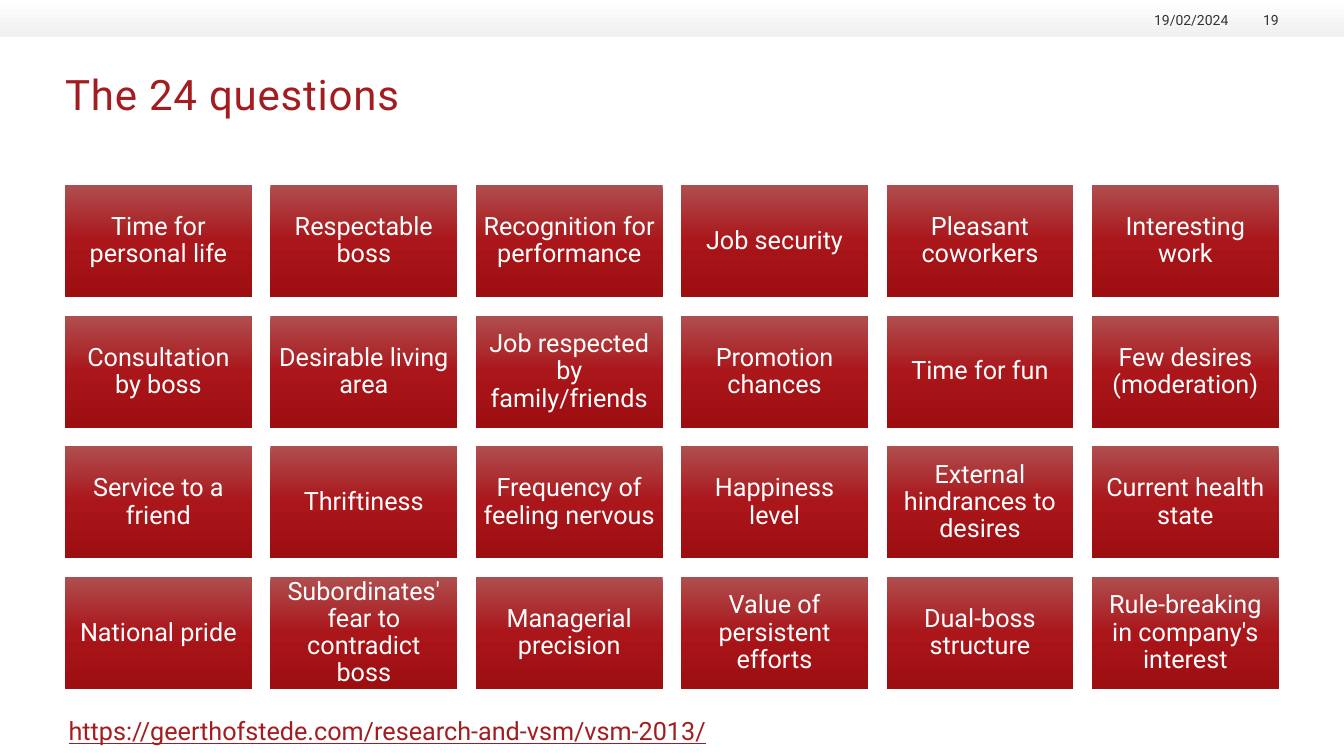
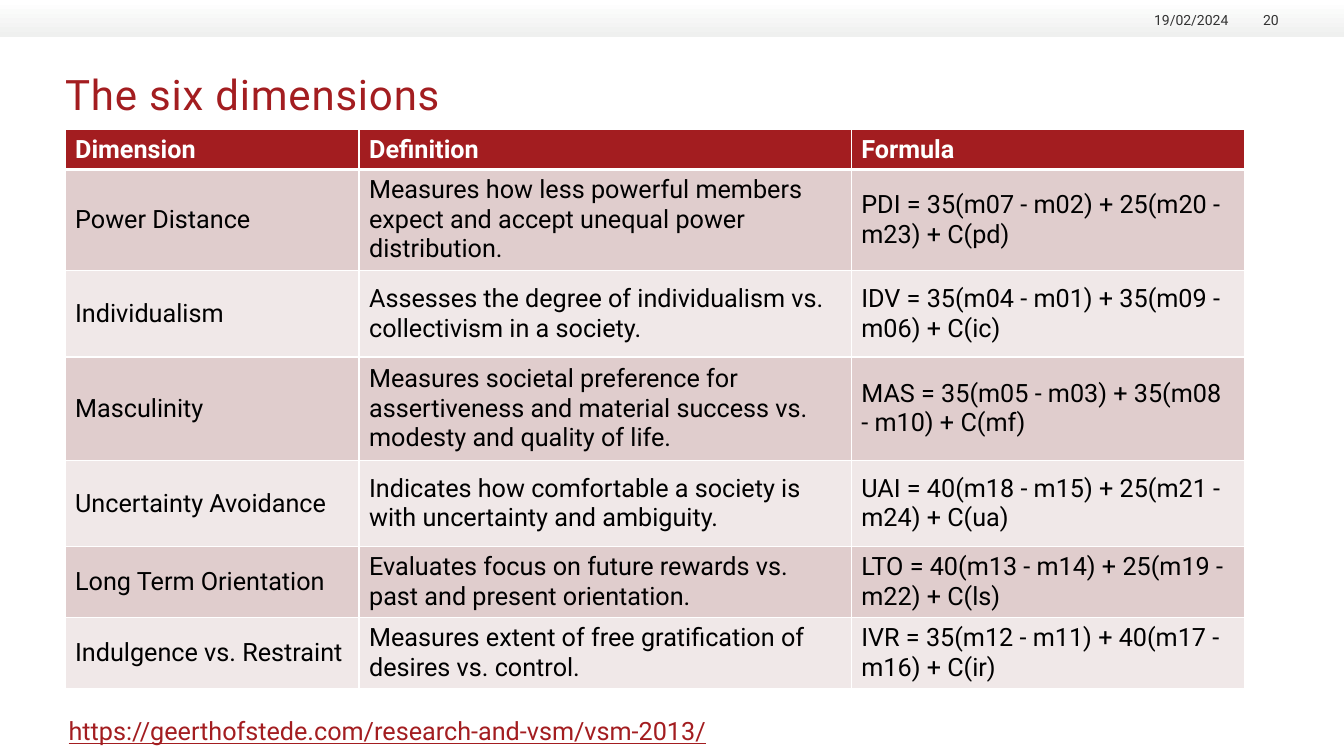
"""Build two slides on the survey questions and the six cultural dimensions."""
from lxml import etree
from pptx import Presentation
from pptx.dml.color import RGBColor
from pptx.enum import shapes, text
from pptx.oxml import ns
from pptx.util import Pt

FONT = "Roboto"
RED = RGBColor(0xA3, 0x1D, 0x20)
WHITE = RGBColor(0xFF, 0xFF, 0xFF)
BLACK = RGBColor(0x00, 0x00, 0x00)
GREY = RGBColor(0x33, 0x33, 0x33)
ROW_FILLS = [RGBColor(0xE0, 0xCD, 0xCD), RGBColor(0xF0, 0xE8, 0xE8)]
BAND_STOPS = [(0, WHITE), (100, RGBColor(0xEF, 0xF0, 0xEF))]
TILE_STOPS = [
    (0, RGBColor(0xAF, 0x4E, 0x4F)),
    (50, RGBColor(0xAA, 0x16, 0x1A)),
    (100, RGBColor(0x9D, 0x0E, 0x11)),
]

SLIDE_WIDTH, SLIDE_HEIGHT = 960, 540
LEFT = 46.5
DATE = "19/02/2024"
LINK = "https://geerthofstede.com/research-and-vsm/vsm-2013/"

TILE_COLUMNS = 6
TILE_TOP, TILE_WIDTH, TILE_HEIGHT, TILE_GAP = 132.2, 133.4, 80, 13.3
QUESTIONS = [
    "Time for personal life", "Respectable boss", "Recognition for performance",
    "Job security", "Pleasant coworkers", "Interesting work",
    "Consultation by boss", "Desirable living area", "Job respected by family/friends",
    "Promotion chances", "Time for fun", "Few desires (moderation)",
    "Service to a friend", "Thriftiness", "Frequency of feeling nervous",
    "Happiness level", "External hindrances to desires", "Current health state",
    "National pride", "Subordinates' fear to contradict boss", "Managerial precision",
    "Value of persistent efforts", "Dual-boss structure",
    "Rule-breaking in company's interest",
]

TABLE_TOP = 92.2
COLUMN_WIDTHS = [210, 351.6, 281]
ROW_HEIGHTS = [28, 70.5, 62, 73.6, 62, 50, 50]
DIMENSIONS = [
    ("Dimension", "Definition", "Formula"),
    ("Power Distance",
     "Measures how less powerful members expect and accept unequal power distribution.",
     "PDI = 35(m07 - m02) + 25(m20 - m23) + C(pd)"),
    ("Individualism",
     "Assesses the degree of individualism vs. collectivism in a society.",
     "IDV = 35(m04 - m01) + 35(m09 - m06) + C(ic)"),
    ("Masculinity",
     "Measures societal preference for assertiveness and material success vs. "
     "modesty and quality of life.",
     "MAS = 35(m05 - m03) + 35(m08 - m10) + C(mf)"),
    ("Uncertainty Avoidance",
     "Indicates how comfortable a society is with uncertainty and ambiguity.",
     "UAI = 40(m18 - m15) + 25(m21 - m24) + C(ua)"),
    ("Long Term Orientation",
     "Evaluates focus on future rewards vs. past and present orientation.",
     "LTO = 40(m13 - m14) + 25(m19 - m22) + C(ls)"),
    ("Indulgence vs. Restraint",
     "Measures extent of free gratification of desires vs. control.",
     "IVR = 35(m12 - m11) + 40(m17 - m16) + C(ir)"),
]


def write_text(frame, content, size=18, color=BLACK, bold=False, underline=False,
               align=text.PP_ALIGN.LEFT, line_spacing=None, tracking=None):
    paragraph = frame.paragraphs[0]
    paragraph.alignment = align
    if line_spacing:
        paragraph.line_spacing = line_spacing
    run = paragraph.add_run()
    run.text = content
    font = run.font
    font.name, font.size, font.bold, font.underline = FONT, Pt(size), bold, underline
    font.color.rgb = color
    if tracking:
        run._r.get_or_add_rPr().set("spc", str(round(tracking * 100)))


def set_frame(frame, inset, anchor):
    frame.word_wrap = True
    frame.vertical_anchor = anchor
    frame.margin_left = frame.margin_right = Pt(inset)
    frame.margin_top = frame.margin_bottom = Pt(inset)


def add_label(slide, content, box, anchor=text.MSO_ANCHOR.TOP, **style):
    shape = slide.shapes.add_textbox(*map(Pt, box))
    set_frame(shape.text_frame, 0, anchor)
    write_text(shape.text_frame, content, **style)


def add_gradient_box(slide, box, stops):
    shape = slide.shapes.add_shape(shapes.MSO_SHAPE.RECTANGLE, *map(Pt, box))
    shape.shadow.inherit = False
    shape.line.fill.background()
    shape.fill.gradient()
    shape.fill.gradient_angle = 270
    stop_list = shape._element.spPr.find(".//" + ns.qn("a:gsLst"))
    for stop in list(stop_list):
        stop_list.remove(stop)
    for position, color in stops:
        stop = etree.SubElement(stop_list, ns.qn("a:gs"), pos=str(position * 1000))
        etree.SubElement(stop, ns.qn("a:srgbClr"), val=str(color))
    return shape


def add_base_slide(presentation, title, number):
    slide = presentation.slides.add_slide(presentation.slide_layouts[6])
    add_gradient_box(slide, (0, 0, SLIDE_WIDTH, 26.2), BAND_STOPS)
    add_label(slide, title, (LEFT, 49, 867, 40), size=30, color=RED, tracking=0.6)
    for content, left, width in ((DATE, 813.4, 64), (number, 883.4, 30)):
        add_label(slide, content, (left, 6.5, width, 13.7), text.MSO_ANCHOR.BOTTOM,
                  size=10, color=GREY, align=text.PP_ALIGN.RIGHT)
    add_label(slide, LINK, (49, 511.2, 466, 22), color=RED, underline=True)
    return slide


def add_tiles(slide):
    for index, question in enumerate(QUESTIONS):
        row, column = divmod(index, TILE_COLUMNS)
        left = LEFT + column * (TILE_WIDTH + TILE_GAP)
        top = TILE_TOP + row * (TILE_HEIGHT + TILE_GAP)
        tile = add_gradient_box(slide, (left, top, TILE_WIDTH, TILE_HEIGHT), TILE_STOPS)
        set_frame(tile.text_frame, 5, text.MSO_ANCHOR.MIDDLE)
        write_text(tile.text_frame, question, color=WHITE,
                   align=text.PP_ALIGN.CENTER, line_spacing=0.9)


def set_borders(cell, **widths):
    properties = cell._tc.get_or_add_tcPr()
    for side, width in widths.items():
        line = etree.SubElement(properties, ns.qn("a:ln" + side), w=str(Pt(width)))
        fill = etree.SubElement(line, ns.qn("a:solidFill"))
        etree.SubElement(fill, ns.qn("a:srgbClr"), val=str(WHITE))


def add_dimension_table(slide):
    frame = slide.shapes.add_table(
        len(DIMENSIONS), len(COLUMN_WIDTHS), Pt(LEFT), Pt(TABLE_TOP),
        Pt(sum(COLUMN_WIDTHS)), Pt(sum(ROW_HEIGHTS)))
    table = frame.table
    for column, width in zip(table.columns, COLUMN_WIDTHS):
        column.width = Pt(width)
    for row_index, (row, height) in enumerate(zip(table.rows, ROW_HEIGHTS)):
        row.height = Pt(height)
        header = row_index == 0
        for cell, content in zip(row.cells, DIMENSIONS[row_index]):
            if header:
                set_borders(cell, L=1, R=1, T=1, B=3)
            else:
                set_borders(cell, L=1, R=1, B=1)
            cell.fill.solid()
            cell.fill.fore_color.rgb = RED if header else ROW_FILLS[(row_index - 1) % 2]
            cell.vertical_anchor = (
                text.MSO_ANCHOR.BOTTOM if header else text.MSO_ANCHOR.MIDDLE)
            write_text(cell.text_frame, content, bold=header,
                       color=WHITE if header else BLACK)


def main():
    presentation = Presentation()
    presentation.slide_width = Pt(SLIDE_WIDTH)
    presentation.slide_height = Pt(SLIDE_HEIGHT)
    add_tiles(add_base_slide(presentation, "The 24 questions", "19"))
    add_dimension_table(add_base_slide(presentation, "The six dimensions", "20"))
    presentation.save("out.pptx")


if __name__ == "__main__":
    main()
